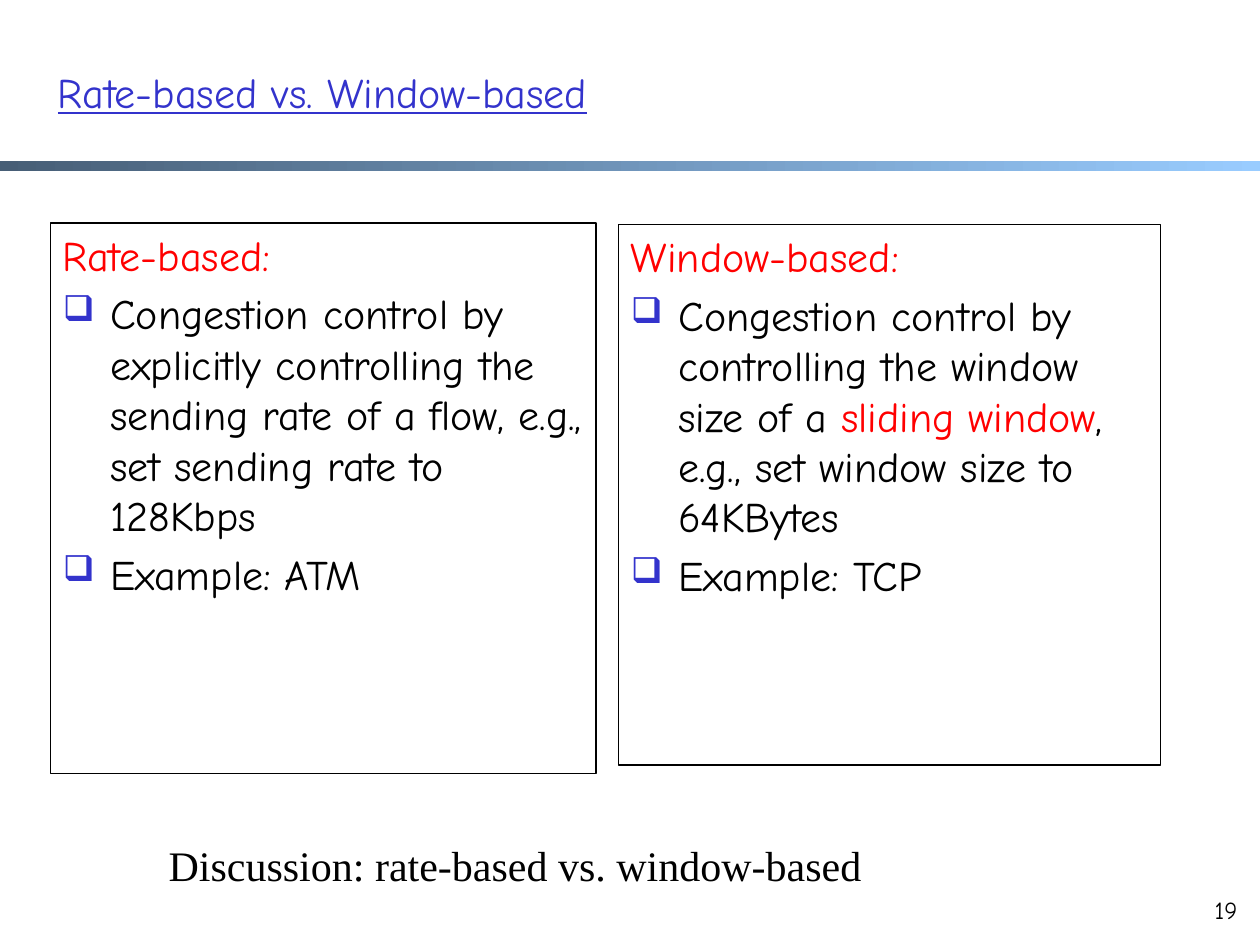
from lxml import etree
from pptx import Presentation
from pptx.dml.color import RGBColor
from pptx.enum import shapes, text
from pptx.oxml import ns
from pptx.util import Pt

HAND, SERIF = "Comic Neue", "Times New Roman"
BLACK, RED, BLUE = "000000", "FF0000", "3333CC"
TITLE = "Rate-based vs. Window-based"
QUESTION = "Discussion: rate-based vs. window-based"
PAGE = "19"
PANELS = [
    ((353.5, 128.2, 309.6, 308.9), "Window-based:", [
        [("Congestion control by controlling the window size of a ", BLACK),
         ("sliding window", RED),
         (", e.g., set window size to 64KBytes", BLACK)],
        [("Example: TCP", BLACK)],
    ]),
    ((28.8, 127.4, 311.8, 314.6), "Rate-based:", [
        [("Congestion control by explicitly controlling the sending rate "
          "of a flow, e.g., set sending rate to 128Kbps", BLACK)],
        [("Example: ATM", BLACK)],
    ]),
]
INDENT = 27


def rgb(color):
    return RGBColor.from_string(color)


def box(place):
    return [Pt(length) for length in place]


def write(paragraph, pieces, font=HAND, size=24):
    for words, color in pieces:
        run = paragraph.add_run()
        run.text = words
        run.font.name = font
        run.font.size = Pt(size)
        run.font.color.rgb = rgb(color)


def add_bullet(paragraph):
    properties = paragraph._p.get_or_add_pPr()
    properties.set("marL", str(Pt(INDENT)))
    properties.set("indent", str(Pt(-INDENT)))
    color = etree.SubElement(properties, ns.qn("a:buClr"))
    etree.SubElement(color, ns.qn("a:srgbClr"), val=BLUE)
    etree.SubElement(properties, ns.qn("a:buSzPct"), val="85000")
    etree.SubElement(properties, ns.qn("a:buChar"), char="❑")


def add_rectangle(slide, place):
    rectangle = slide.shapes.add_shape(shapes.MSO_SHAPE.RECTANGLE, *box(place))
    rectangle.shadow.inherit = False
    return rectangle


def add_divider(slide):
    divider = add_rectangle(slide, (0, 91.8, 720, 5.8))
    divider.line.fill.background()
    divider.fill.gradient()
    divider.fill.gradient_angle = 0
    for stop, color in zip(divider.fill.gradient_stops, ("475E76", "99CCFF")):
        stop.color.rgb = rgb(color)


def add_panel(slide, place, heading, points):
    panel = add_rectangle(slide, place)
    panel.fill.background()
    panel.line.color.rgb = rgb(BLACK)
    panel.line.width = Pt(0.75)
    frame = panel.text_frame
    frame.word_wrap = True
    frame.vertical_anchor = text.MSO_ANCHOR.TOP
    for row, pieces in enumerate([[(heading, RED)]] + points):
        paragraph = frame.add_paragraph() if row else frame.paragraphs[0]
        paragraph.alignment = text.PP_ALIGN.LEFT
        paragraph.space_before = Pt(4.8)
        if row:
            add_bullet(paragraph)
        write(paragraph, pieces)


def add_label(slide, place, words, font, size, align, wrap):
    frame = slide.shapes.add_textbox(*box(place)).text_frame
    frame.word_wrap = wrap
    frame.paragraphs[0].alignment = align
    write(frame.paragraphs[0], [(words, BLACK)], font, size)


def add_title(slide):
    title = slide.shapes.title
    title.left, title.top, title.width, title.height = box((25.9, 32.4, 631.4, 39.6))
    title.text_frame.vertical_anchor = text.MSO_ANCHOR.MIDDLE
    paragraph = title.text_frame.paragraphs[0]
    paragraph.alignment = text.PP_ALIGN.LEFT
    write(paragraph, [(TITLE, BLUE)])
    paragraph.runs[0].font.underline = True


def main():
    deck = Presentation()
    deck.slide_width, deck.slide_height = Pt(720), Pt(540)
    slide = deck.slides.add_slide(deck.slide_layouts[5])
    add_title(slide)
    add_divider(slide)
    for place, heading, points in PANELS:
        add_panel(slide, place, heading, points)
    add_label(slide, (89.3, 475.9, 410.4, 36), QUESTION, SERIF, 24,
              text.PP_ALIGN.LEFT, False)
    add_label(slide, (681.1, 507.6, 33.1, 27.4), PAGE, HAND, 14,
              text.PP_ALIGN.RIGHT, True)
    deck.save("out.pptx")


if __name__ == "__main__":
    main()
